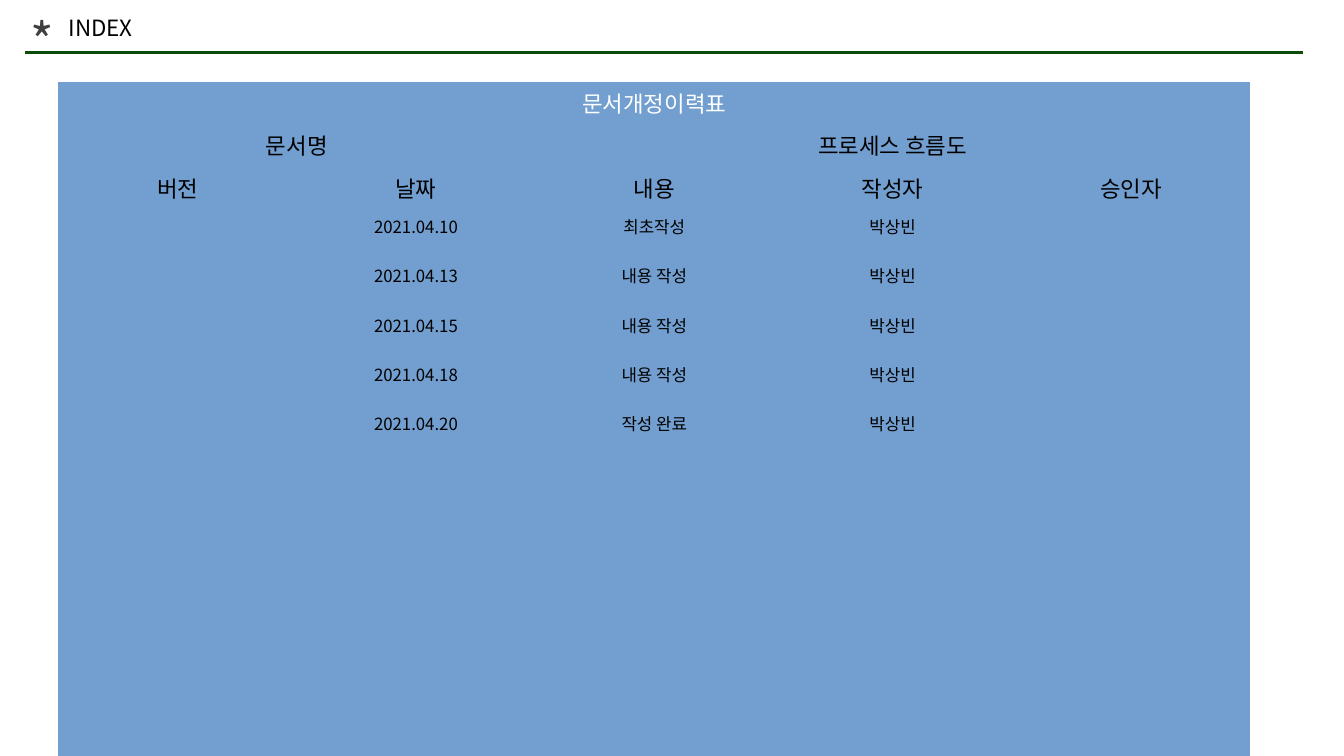
import pptx
import pptx.util
import pptx.dml.color
import pptx.enum.shapes
import pptx.enum.text
import pptx.oxml.ns
import lxml.etree

Inches = pptx.util.Inches
PP_ALIGN = pptx.enum.text.PP_ALIGN
COLORS = {"rule": "0C4B09", "star": "404040", "ink": "000000",
          "table": "729FCF", "heading": "FFFFFF"}
FONT = "Noto Sans CJK KR"
NO_STYLE = "{2D5ABB26-0587-4C30-8999-92F81FD0307C}"
COLUMNS = 5
ROW_COUNT = 16
HEADER_ROWS = 3
HEADER_HEIGHT, ENTRY_HEIGHT = 0.42, 0.49
MERGES = [(0, 0, 4), (1, 0, 1), (1, 2, 4)]
HISTORY = [
    ["문서개정이력표"],
    ["문서명", "", "프로세스 흐름도"],
    ["버전", "날짜", "내용", "작성자", "승인자"],
    ["", "2021.04.10", "최초작성", "박상빈"],
    ["", "2021.04.13", "내용 작성", "박상빈"],
    ["", "2021.04.15", "내용 작성", "박상빈"],
    ["", "2021.04.18", "내용 작성", "박상빈"],
    ["", "2021.04.20", "작성 완료", "박상빈"],
]


def rgb(name):
    return pptx.dml.color.RGBColor.from_string(COLORS[name])


def write(frame, text, size=16, color="ink", align=PP_ALIGN.LEFT):
    para = frame.paragraphs[0]
    para.alignment = align
    span = para.add_run()
    span.text = text
    span.font.size = pptx.util.Pt(size)
    span.font.name = FONT
    span.font.color.rgb = rgb(color)
    east_asian = lxml.etree.SubElement(span.font._element, pptx.oxml.ns.qn("a:ea"))
    east_asian.set("typeface", FONT)


def set_frame(frame, top_inset):
    frame.word_wrap = True
    frame.auto_size = pptx.enum.text.MSO_AUTO_SIZE.NONE
    frame.vertical_anchor = pptx.enum.text.MSO_ANCHOR.TOP
    frame.margin_left = frame.margin_right = Inches(0.1)
    frame.margin_top = Inches(top_inset)
    frame.margin_bottom = Inches(0.05)


def add_header(page, left, top, width):
    """Rule, star and page title, placed from the left end of the rule."""
    rule_y = Inches(top + 0.42)
    rule = page.shapes.add_connector(
        pptx.enum.shapes.MSO_CONNECTOR.STRAIGHT,
        Inches(left), rule_y, Inches(left + width), rule_y)
    rule.line.color.rgb = rgb("rule")
    rule.line.width = pptx.util.Pt(2.25)
    lxml.etree.SubElement(rule._element.spPr, pptx.oxml.ns.qn("a:effectLst"))

    star = page.shapes.add_textbox(
        Inches(left - 0.05), Inches(top), Inches(0.52), Inches(0.78))
    set_frame(star.text_frame, 0)
    write(star.text_frame, "*", size=36, color="star")

    title = page.shapes.title
    title.left, title.top = Inches(left + 0.33), Inches(top + 0.02)
    title.width, title.height = Inches(4.32), Inches(0.4)
    set_frame(title.text_frame, 0.02)
    write(title.text_frame, "INDEX")


def add_history(page, left, top, width):
    """Revision table: short header rows, then taller entry rows."""
    heights = [HEADER_HEIGHT if row < HEADER_ROWS else ENTRY_HEIGHT
               for row in range(ROW_COUNT)]
    frame = page.shapes.add_table(ROW_COUNT, COLUMNS, Inches(left), Inches(top),
                                  Inches(width), Inches(sum(heights)))
    table = frame.table
    table.first_row = table.horz_banding = False
    style = table._tbl.tblPr.find(pptx.oxml.ns.qn("a:tableStyleId"))
    style.text = NO_STYLE

    for row, height in zip(table.rows, heights):
        row.height = Inches(height)
        for cell in row.cells:
            cell.fill.solid()
            cell.fill.fore_color.rgb = rgb("table")
    for row, first, last in MERGES:
        table.cell(row, first).merge(table.cell(row, last))
    for row, entries in enumerate(HISTORY):
        for column, text in enumerate(entries):
            if text:
                write(table.cell(row, column).text_frame, text,
                      size=16 if row < HEADER_ROWS else 12,
                      color="ink" if row else "heading",
                      align=PP_ALIGN.CENTER)


def main():
    deck = pptx.Presentation()
    deck.slide_width, deck.slide_height = Inches(13.33), Inches(7.5)
    page = deck.slides.add_slide(deck.slide_layouts.get_by_name("Title Only"))
    add_header(page, left=0.25, top=0.1, width=12.67)
    add_history(page, left=0.58, top=0.81, width=11.82)
    deck.save("out.pptx")


if __name__ == "__main__":
    main()
